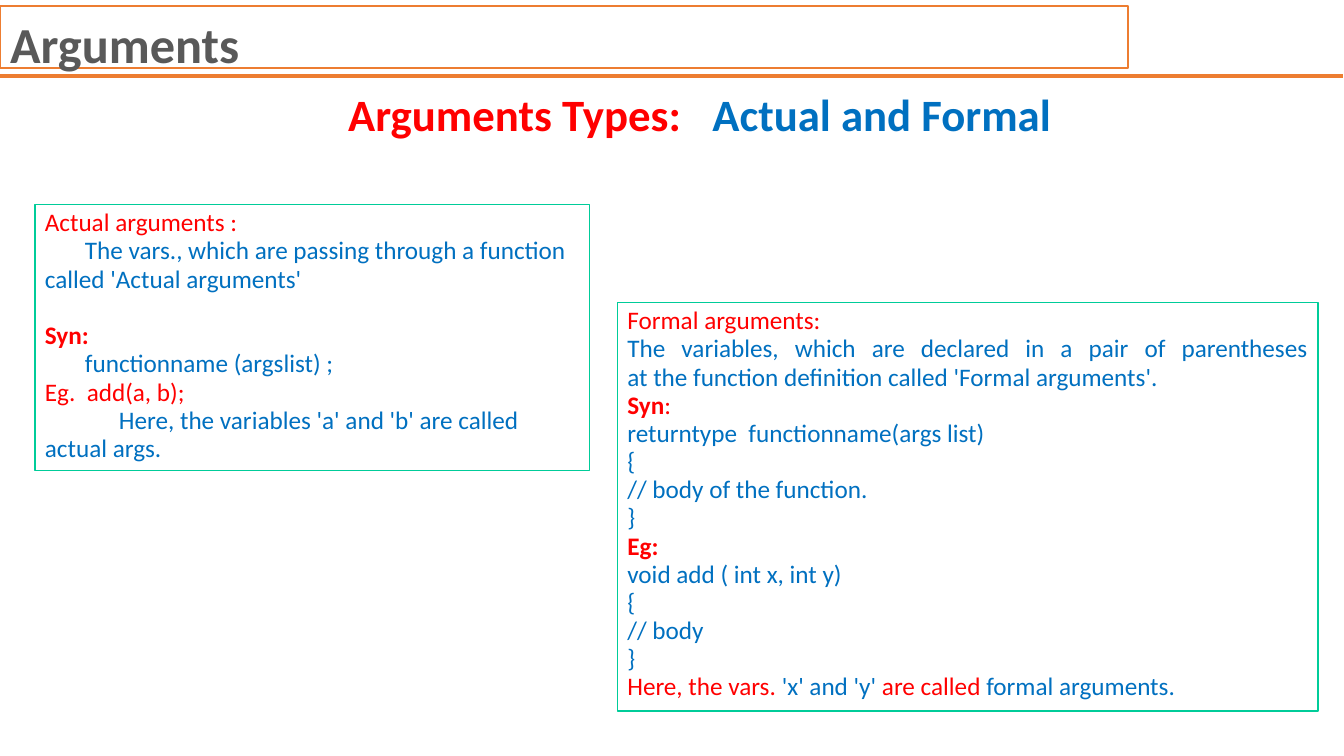
from pptx import Presentation
from pptx.dml.color import RGBColor
from pptx.enum.shapes import MSO_CONNECTOR
from pptx.enum.text import MSO_ANCHOR, MSO_AUTO_SIZE, PP_ALIGN
from pptx.oxml.ns import qn
from pptx.util import Pt
from lxml.etree import SubElement

ORANGE = RGBColor(0xED, 0x7D, 0x31)
GREEN = RGBColor(0x00, 0xCC, 0x99)
RED = RGBColor(0xFF, 0x00, 0x00)
BLUE = RGBColor(0x00, 0x70, 0xC0)
GREY = RGBColor(0x59, 0x59, 0x59)
WHITE = RGBColor(0xFF, 0xFF, 0xFF)
FONT = "Calibri"
NBSP = "\u00a0"


def px(pixels):
    return round(pixels * 914400 / 100.7)


def place(shape, box):
    shape.left, shape.top, shape.width, shape.height = map(px, box)


def style(font, size, color=None, bold=False):
    font.name, font.size, font.bold = FONT, Pt(size), bold
    if color is not None:
        font.color.rgb = color


def outline(shape, color, width):
    shape.line.color.rgb = color
    shape.line.width = Pt(width)


def write(paragraph, runs, size, bold=False):
    """Fill a paragraph with (text, color) or (text, color, bold) runs."""
    paragraph.line_spacing = 0.93
    colors = {color for _, color, *_ in runs}
    weights = {weight[0] if weight else bold for _, _, *weight in runs}
    shared_color = colors.pop() if len(colors) == 1 else None
    style(paragraph.font, size, shared_color, bold or weights == {True})
    for text, color, *weight in runs:
        run = paragraph.add_run()
        run.text = text
        if shared_color is None:
            run.font.color.rgb = color
        if len(weights) > 1:
            run.font.bold = weight[0] if weight else bold


def add_textbox(slide, box):
    textbox = slide.shapes.add_textbox(*map(px, box))
    textbox.text_frame.word_wrap = True
    return textbox


# Title bar and the rule under it
def add_title(slide, box, rule_y, rule_end):
    title = slide.shapes.title
    place(title, box)
    outline(title, ORANGE, 1.5)
    frame = title.text_frame
    frame.text = "Arguments"
    frame.auto_size = MSO_AUTO_SIZE.NONE
    frame.vertical_anchor = MSO_ANCHOR.TOP
    frame.margin_top = px(7)
    frame.paragraphs[0].alignment = PP_ALIGN.LEFT
    style(frame.paragraphs[0].font, 36, GREY, True)

    rule = slide.shapes.add_connector(
        MSO_CONNECTOR.STRAIGHT, 0, px(rule_y), px(rule_end), px(rule_y))
    outline(rule, ORANGE, 3)
    SubElement(rule.line._get_or_add_ln().getparent(), qn("a:effectLst"))


# Centre heading, its two parts set apart by a tab stop
def add_heading(slide, box, tab):
    paragraph = add_textbox(slide, box).text_frame.paragraphs[0]
    write(paragraph, [("Arguments Types:\t", RED), ("Actual and Formal", BLUE)], 32, True)
    stops = SubElement(paragraph._p.get_or_add_pPr(), qn("a:tabLst"))
    SubElement(stops, qn("a:tab"), pos=str(px(tab)), algn="l")


# Bordered panel; each line is (runs, first-line indent, gap before)
def add_panel(slide, box, lines, alignment):
    panel = add_textbox(slide, box)
    panel.fill.solid()
    panel.fill.fore_color.rgb = WHITE
    outline(panel, GREEN, 1)
    frame = panel.text_frame
    for number, (runs, indent, gap) in enumerate(lines):
        paragraph = frame.add_paragraph() if number else frame.paragraphs[0]
        write(paragraph, runs, 18)
        paragraph.alignment = alignment
        if gap:
            paragraph.space_before = Pt(gap)
        if indent:
            properties = paragraph._p.get_or_add_pPr()
            properties.set("marL", "0")
            properties.set("indent", str(px(indent)))


def line(*runs, indent=0, gap=0):
    return runs, indent, gap


def code(*texts):
    return [line((text, BLUE)) for text in texts]


ACTUAL = [
    line(("Actual arguments :", RED)),
    line(("The vars., which are passing through a function called 'Actual arguments'",
          BLUE), indent=40),
    line(("Syn:", RED, True), gap=20.4),
    line(("functionname" + NBSP + "(argslist) ;", BLUE), indent=40),
    line(("Eg." + NBSP + " add(a, b);", RED)),
    line(("Here, the variables 'a' and 'b' are called actual" + NBSP + "args.", BLUE),
         indent=74),
]
FORMAL = [
    line(("Formal arguments:", RED)),
    line(("The variables, which are declared in a pair of parentheses "
          f"at{NBSP}the{NBSP}function definition called 'Formal arguments'.", BLUE)),
    line(("Syn", RED, True), (":", RED)),
    *code(f"returntype{NBSP}{NBSP}functionname(args{NBSP}list)",
          "{", "// body of the function.", "}"),
    line(("Eg:", RED, True)),
    *code("void add ( int x, int y)", "{", "// body", "}"),
    line(("Here, the vars." + NBSP, RED), ("'x' and 'y'", BLUE),
         (f"{NBSP}are called{NBSP}", RED), ("formal arguments.", BLUE)),
]

presentation = Presentation()
presentation.slide_width, presentation.slide_height = px(1343), px(755)
slide = presentation.slides.add_slide(presentation.slide_layouts[5])

add_title(slide, (0, 6, 1127, 62), rule_y=76, rule_end=1342)
add_panel(slide, (35, 204, 554, 266), ACTUAL, PP_ALIGN.LEFT)
add_panel(slide, (617, 302, 700, 408), FORMAL, PP_ALIGN.JUSTIFY)
add_heading(slide, (338, 86, 735, 60), tab=364)

presentation.save("out.pptx")
